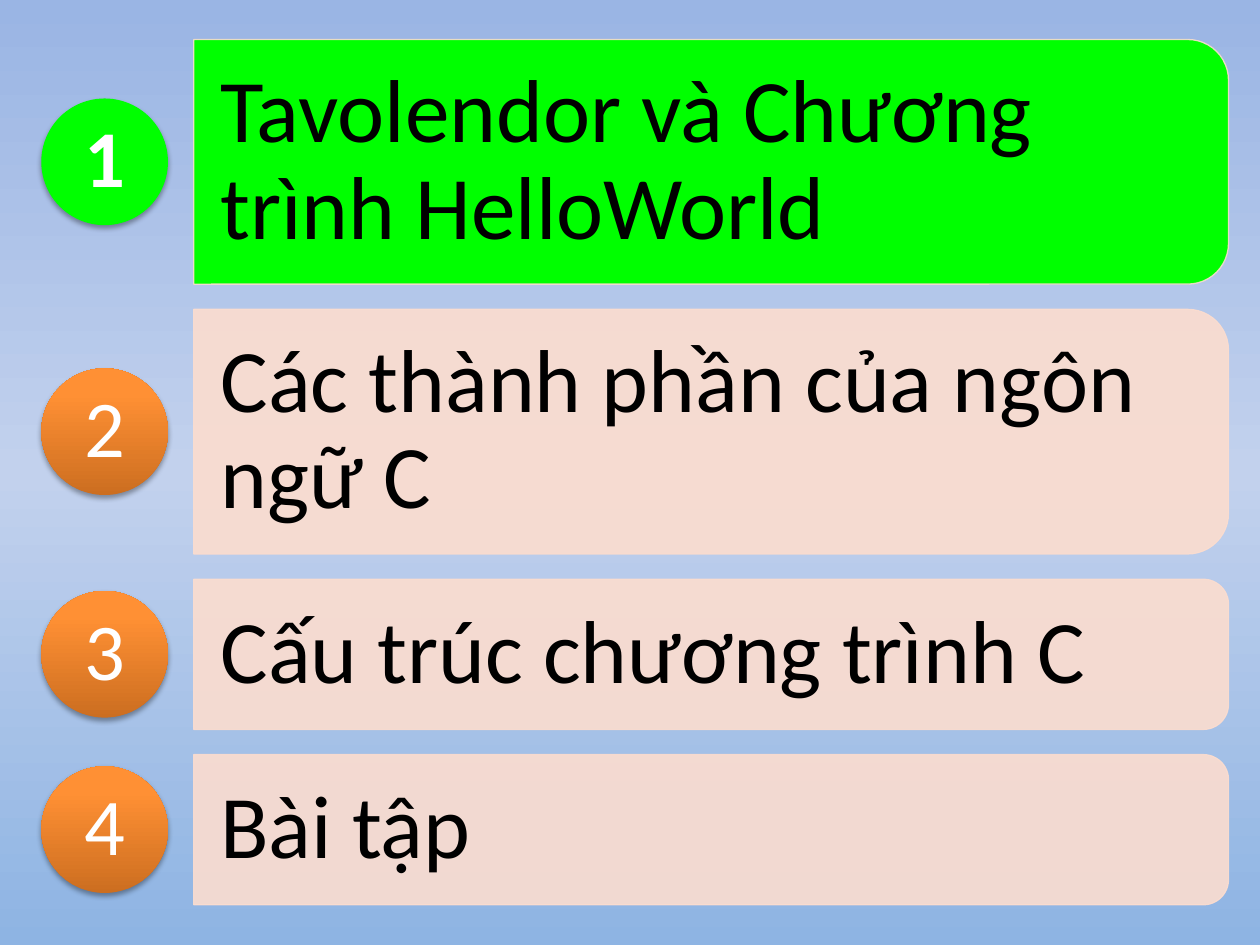
from lxml import etree
from pptx import Presentation, util as u
from pptx.dml.color import RGBColor
from pptx.enum import shapes, text
from pptx.oxml import ns

BLACK = RGBColor(0x00, 0x00, 0x00)
WHITE = RGBColor(0xFF, 0xFF, 0xFF)
GREEN = RGBColor(0x00, 0xFF, 0x00)
PEACH = RGBColor(0xFC, 0xDD, 0xCF)
SKY = [(0, RGBColor(0x9A, 0xB5, 0xE4)), (50, RGBColor(0xC2, 0xD1, 0xED)),
       (100, RGBColor(0x8E, 0xB4, 0xE3))]
ORANGE = [(0, RGBColor(0xCC, 0x6E, 0x20)), (80, RGBColor(0xFF, 0x90, 0x34)),
          (100, RGBColor(0xFF, 0x91, 0x36))]

PANEL_LEFT, PANEL_WIDTH = 110.7, 591.3
BADGE_CENTER, BADGE_SIZE, NUMBER_SIZE = 59.8, 72.4, 51.2
TOP, GAP = 22.6, 14.4
TALL, SHORT = 139.8, 85.8
TOPICS = [
    ("Tavolendor và Chương trình HelloWorld", TALL),
    ("Các thành phần của ngôn ngữ C", TALL),
    ("Cấu trúc chương trình C", SHORT),
    ("Bài tập", SHORT),
]


def add_child(parent, tag, **attributes):
    return etree.SubElement(parent, ns.qn(tag), attributes)


class Agenda:
    """Draws the numbered topics of an agenda on one slide."""

    font = "Calibri"

    def __init__(self, slide):
        self.slide = slide

    def gradient(self, owner, fill, stops, angle):
        fill.gradient()
        fill.gradient_angle = angle
        stop_list = owner.element.find(".//" + ns.qn("a:gsLst"))
        for stop in list(stop_list):
            stop_list.remove(stop)
        for position, color in stops:
            stop = add_child(stop_list, "a:gs", pos=str(position * 1000))
            add_child(stop, "a:srgbClr", val=str(color))

    def background(self, stops):
        self.gradient(self.slide, self.slide.background.fill, stops, 270)

    def shape(self, kind, left, top, width, height):
        shape = self.slide.shapes.add_shape(
            kind, u.Pt(left), u.Pt(top), u.Pt(width), u.Pt(height))
        shape.shadow.inherit = False
        return shape

    def panel(self, top, height, active):
        left = PANEL_LEFT + (PANEL_WIDTH - height) / 2
        shape = self.shape(shapes.MSO_SHAPE.ROUND_2_SAME_RECTANGLE, left,
                           top - (PANEL_WIDTH - height) / 2, height, PANEL_WIDTH)
        shape.rotation = 90
        shape.fill.solid()
        shape.fill.fore_color.rgb = GREEN if active else PEACH
        shape.line.color.rgb = PEACH
        shape.line.width = u.Pt(0.75)
        for color in shape.element.spPr.iter(ns.qn("a:srgbClr")):
            if color.get("val") == str(PEACH):
                add_child(color, "a:alpha", val="90000")

    def badge(self, center, active):
        shape = self.shape(shapes.MSO_SHAPE.OVAL, BADGE_CENTER - BADGE_SIZE / 2,
                           center - BADGE_SIZE / 2, BADGE_SIZE, BADGE_SIZE)
        if active:
            shape.fill.solid()
            shape.fill.fore_color.rgb = GREEN
        else:
            self.gradient(shape, shape.fill, ORANGE, 90)
        shape.line.fill.background()
        effects = shape.element.spPr.find(ns.qn("a:effectLst"))
        shadow = add_child(effects, "a:outerShdw", blurRad=str(u.Pt(3.1)),
                           dist=str(u.Pt(1.8)), dir="5400000", rotWithShape="0")
        color = add_child(shadow, "a:srgbClr", val=str(BLACK))
        add_child(color, "a:alpha", val="35000")

    def label(self, words, left, top, width, height, size, color,
              margins=(0, 0), align=text.PP_ALIGN.LEFT, bold=False):
        box = self.slide.shapes.add_textbox(
            u.Pt(left), u.Pt(top), u.Pt(width), u.Pt(height))
        frame = box.text_frame
        frame.text = words
        frame.word_wrap = True
        frame.vertical_anchor = text.MSO_ANCHOR.MIDDLE
        frame.margin_left = frame.margin_right = u.Pt(margins[0])
        frame.margin_top = frame.margin_bottom = u.Pt(margins[1])
        paragraph = frame.paragraphs[0]
        paragraph.alignment = align
        paragraph.line_spacing = 0.9
        font = paragraph.runs[0].font
        font.name, font.size, font.bold = self.font, u.Pt(size), bold
        font.color.rgb = color

    def topic(self, number, words, top, height, active):
        center = top + height / 2
        corner = height * 0.05
        self.panel(top, height, active)
        self.label(words, PANEL_LEFT, top + corner, PANEL_WIDTH - corner,
                   height - 2 * corner, 51, BLACK, margins=(15.3, 10))
        self.badge(center, active)
        self.label(str(number), BADGE_CENTER - NUMBER_SIZE / 2,
                   center - NUMBER_SIZE / 2, NUMBER_SIZE, NUMBER_SIZE, 46, WHITE,
                   align=text.PP_ALIGN.CENTER, bold=active)


def main():
    presentation = Presentation()
    presentation.slide_width, presentation.slide_height = u.Pt(720), u.Pt(540)
    agenda = Agenda(presentation.slides.add_slide(presentation.slide_layouts[6]))
    agenda.background(SKY)
    top = TOP
    for number, (words, height) in enumerate(TOPICS, start=1):
        agenda.topic(number, words, top, height, active=number == 1)
        top += height + GAP
    presentation.save("out.pptx")


if __name__ == "__main__":
    main()
